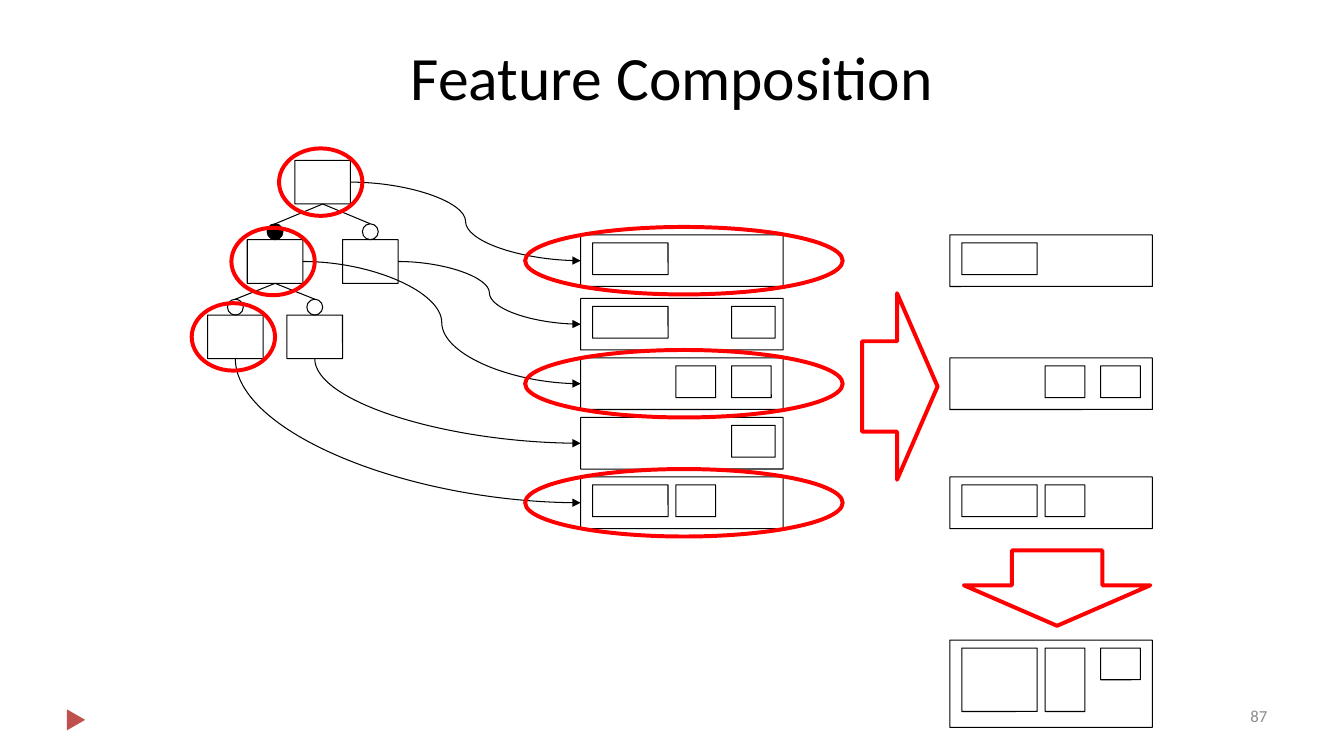
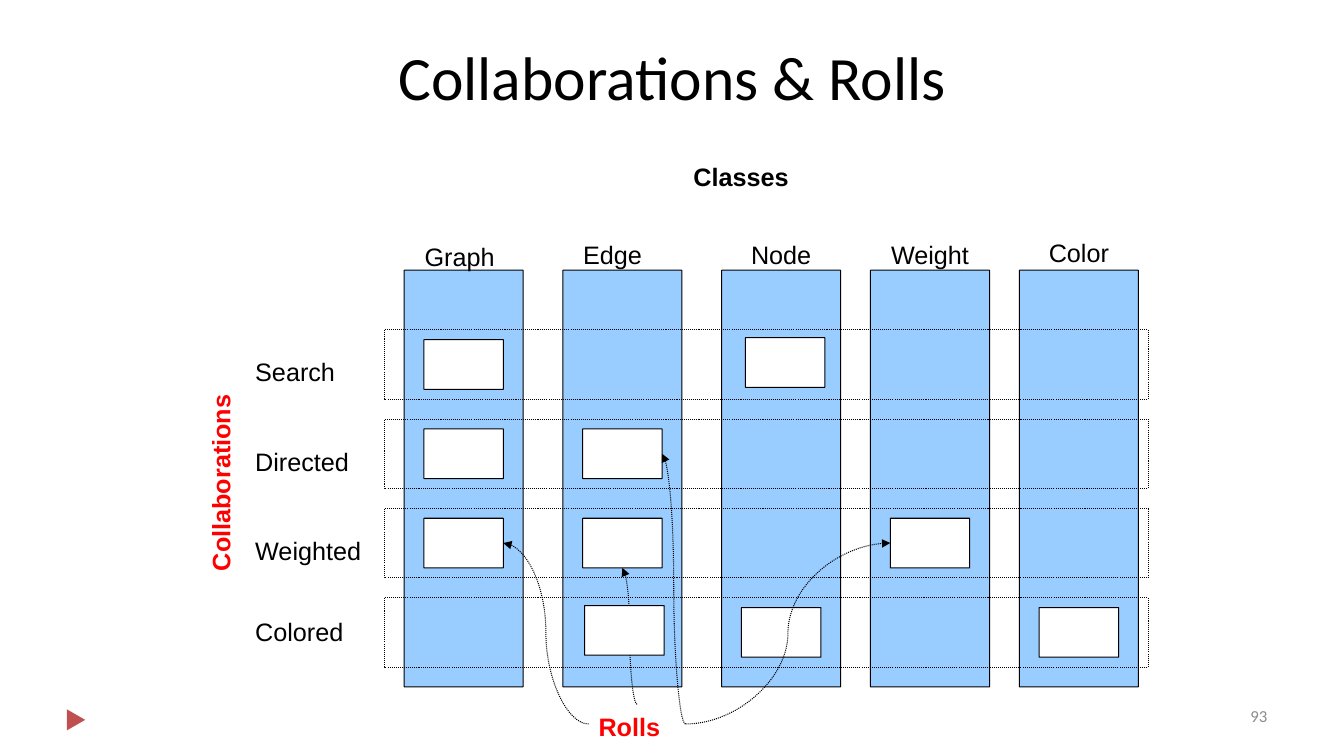
from lxml import etree
from pptx import Presentation
from pptx import util as u
from pptx.dml.color import RGBColor
from pptx.enum import dml, shapes, text
from pptx.oxml.ns import qn

HUES = {"ink": "000000", "paper": "FFFFFF", "red": "FF0000",
        "brick": "C0504D", "sky": "99CCFF", "gray": "8C8C8C"}
WIDE, HIGH = 33.87, 19.05
KIND = shapes.MSO_SHAPE
LEFT, MID, RIGHT = text.PP_ALIGN.LEFT, text.PP_ALIGN.CENTER, text.PP_ALIGN.RIGHT
DOTS = dml.MSO_LINE.ROUND_DOT
HEAD = {"name": "Calibri", "size": u.Pt(44)}
FOOT = {"name": "Calibri", "size": u.Pt(12)}
BODY = {"name": "Arial", "size": u.Pt(18)}
BOLD = {**BODY, "bold": True}


def hue(name):
    """Return the named colour."""
    return RGBColor.from_string(HUES[name])


def pen(line, tint="ink", wt=0.75, dash=None):
    """Style an outline or a connector line."""
    line.color.rgb = hue(tint)
    line.width = u.Pt(wt)
    if dash:
        line.dash_style = dash


def put(sl, kind, box, fill=None, adj=(), turn=0, edge=True, **ink):
    """Add a preset shape, its box given in centimetres."""
    shp = sl.shapes.add_shape(kind, *map(u.Cm, box))
    shp.shadow.inherit = False
    shp.rotation = turn
    for i, val in enumerate(adj):
        shp.adjustments[i] = val
    if fill:
        shp.fill.solid()
        shp.fill.fore_color.rgb = hue(fill)
    else:
        shp.fill.background()
    if edge:
        pen(shp.line, **ink)
    else:
        shp.line.fill.background()
    return shp


def card(sl, box, **look):
    """Add a box with barely rounded corners."""
    return put(sl, KIND.ROUNDED_RECTANGLE, box, adj=(0.004,), **look)


def ring(sl, box):
    """Add a red ellipse around a chosen part."""
    put(sl, KIND.OVAL, box, tint="red", wt=2.83)


def arrow(sl, box, turn=0):
    """Add a red block arrow."""
    put(sl, KIND.RIGHT_ARROW, box, adj=(0.485, 0.537), turn=turn, tint="red", wt=2.83)


def words(sl, box, say, font, tint="ink", side=LEFT, anchor=text.MSO_ANCHOR.TOP,
          turn=0, pads=(0.25, 0.18, 0.25, 0.13)):
    """Add a line of text in a box."""
    shp = sl.shapes.add_textbox(*map(u.Cm, box))
    shp.rotation = turn
    frame = shp.text_frame
    frame.word_wrap = True
    frame.vertical_anchor = anchor
    for edge, pad in zip(("left", "top", "right", "bottom"), pads):
        setattr(frame, "margin_" + edge, u.Cm(pad))
    para = frame.paragraphs[0]
    para.alignment = side
    run = para.add_run()
    run.text = say
    for key, val in font.items():
        setattr(run.font, key, val)
    run.font.color.rgb = hue(tint)


def wire(sl, kind, start, end, dash=None):
    """Add a connector without shadow."""
    con = sl.shapes.add_connector(kind, *map(u.Cm, (*start, *end)))
    pen(con.line, dash=dash)
    etree.SubElement(con._element.spPr, qn("a:effectLst"))
    return con


def curve(sl, start, end, dash=None, drop=False):
    """Add a curved arrow; with drop it leaves downwards."""
    con = wire(sl, shapes.MSO_CONNECTOR.CURVE, start, end, dash)
    etree.SubElement(con.line._get_or_add_ln(), qn("a:tailEnd"), type="triangle")
    if drop:
        (x, y), (far, low) = start, end
        w, h = low - y, far - x
        con.left, con.top = u.Cm((x + far - w) / 2), u.Cm((y + low - h) / 2)
        con.width, con.height = u.Cm(w), u.Cm(h)
        props = con._element.spPr
        form = props.find(qn("a:xfrm"))
        form.set("rot", "16200000")
        form.set("flipH", "1")
        props.find(qn("a:prstGeom")).set("prst", "curvedConnector2")


def side(box, name):
    """Return the middle of a side of a box."""
    x, y, w, h = box
    return {"top": (x + w / 2, y), "left": (x, y + h / 2),
            "low": (x + w / 2, y + h), "right": (x + w, y + h / 2)}[name]


def base(deck, title, num):
    """Add a slide with title, corner mark and number."""
    sl = deck.slides.add_slide(deck.slide_layouts[6])
    put(sl, KIND.ISOSCELES_TRIANGLE, (1.65, 17.91, 0.53, 0.46), fill="brick",
        turn=90, edge=False)
    pads = (0.25, 0.13, 0.25, 0.13)
    words(sl, (WIDE * 0.05, HIGH / 30, WIDE * 0.9, HIGH * 2 / 15), title, HEAD,
          side=MID, anchor=text.MSO_ANCHOR.MIDDLE, pads=pads)
    words(sl, (24.28, 17.65, 7.9, 1.02), num, FOOT, "gray", RIGHT, pads=pads)
    return sl


def tree(sl, x, y):
    """Draw the feature tree and return its boxes."""
    spots = [(2.2, 0), (1, 2), (3.4, 2), (0, 3.9), (2, 3.9)]
    nodes = [(x + dx, y + dy, 1.4, 1.1) for dx, dy in spots]
    parts = [card(sl, box) for box in nodes]
    for kid, top in ((1, 0), (2, 0), (3, 1), (4, 1)):
        cx, cy = side(nodes[kid], "top")
        dot = put(sl, KIND.OVAL, (cx - 0.2, cy - 0.4, 0.4, 0.4),
                  fill="ink" if kid == 1 else None)
        con = wire(sl, shapes.MSO_CONNECTOR.STRAIGHT, (cx, cy - 0.4),
                   side(nodes[top], "low"))
        con.begin_connect(dot, 0)
        con.end_connect(parts[top], 2)
    return nodes


def unit(sl, x, y, chips, h=1.3):
    """Draw one unit with its inner chips and return its box."""
    box = (x, y, 5.1, h)
    card(sl, box)
    for dx, w, tall in chips:
        card(sl, (x + dx, y + 0.2, w, tall))
    return box


def compose(deck):
    """Build the slide on composing features."""
    sl = base(deck, "Feature Composition", "87")
    nodes = tree(sl, 5.23, 4.04)
    big, mid, end, last = (0.3, 1.9, 0.8), (2.4, 1, 0.8), (3.8, 1.1, 0.8), (3.8, 1, 0.8)
    rows = [(0, [big]), (1.6, [big, end]), (3.1, [mid, last]),
            (4.6, [end]), (6.1, [big, mid])]
    top, out = 5.92, 23.93
    units = [unit(sl, 14.63, top + dy, chips) for dy, chips in rows]
    for node, row in ((0, 0), (1, 2), (2, 1)):
        curve(sl, side(nodes[node], "right"), side(units[row], "left"))
    for node, row in ((3, 4), (4, 3)):
        curve(sl, side(nodes[node], "low"), side(units[row], "left"), drop=True)
    for x, y, *_ in (nodes[0], nodes[1], nodes[3]):
        ring(sl, (x - 0.4, y - 0.3, 2.1, 1.7))
    for x, y, *_ in units[::2]:
        ring(sl, (x - 1.4, y - 0.2, 8, 1.7))
    for dy, chips in rows[::2]:
        unit(sl, out, top + dy, chips)
    unit(sl, out, 16.13, [(0.3, 1.9, 1.6), (2.4, 1, 1.6), last], 2.2)
    arrow(sl, (21.72, 7.39, 1.9, 4.7))
    arrow(sl, (25.68, 12.47, 1.9, 4.7), 90)


def matrix(sl, x, y):
    """Draw classes against collaborations and return a role finder."""
    cols = [("Graph", 0, -0.1, -0.92), ("Edge", 4, -0.25, -0.97),
            ("Node", 8, 0, -0.97), ("Weight", 11.75, 0, -0.97),
            ("Color", 15.5, 0, -1.02)]
    rows = [("Search", 0.5), ("Directed", 0.5), ("Weighted", 0.5), ("Colored", 0.28)]
    for _, dx, *_ in cols:
        card(sl, (x + dx, y, 3, 10.5), fill="sky")
    for name, dx, shift, dy in cols:
        words(sl, (x + dx + shift, y + dy, 3, 0.97), name, BODY, side=MID)
    for i, (name, dy) in enumerate(rows):
        band = y + 1.5 + 2.25 * i
        words(sl, (x - 4, band + dy, 3.4, 0.97), name, BODY)
        put(sl, KIND.RECTANGLE, (x - 0.5, band, 19.25, 1.75), dash=DOTS)

    def role(col, row, dx=0.5, dy=0.25):
        """Return the box of a role."""
        return x + cols[col][1] + dx, y + 1.5 + 2.25 * row + dy, 2, 1.25

    return role


def rolls(deck):
    """Build the slide on collaborations and rolls."""
    sl = base(deck, "Collaborations & Rolls", "93")
    role = matrix(sl, 10.18, 6.81)
    words(sl, (17.22, 3.89, 3.2, 0.99), "Classes", BOLD)
    words(sl, (2.82, 11.48, 5.33, 0.99), "Collaborations", BOLD, "red", turn=270)
    for spot in ((0, 0), (0, 1), (1, 1), (0, 2), (1, 2), (3, 2), (2, 3), (4, 3),
                 (2, 0, 0.6, 0.2)):
        card(sl, role(*spot), fill="paper")
    hub = (14.83, 17.75, 2.44, 0.99)
    words(sl, hub, "Rolls", BOLD, "red")
    for exit, col, row, goal in (("top", 1, 2, "low"), ("left", 0, 2, "right"),
                                 ("right", 3, 2, "left"), ("right", 1, 1, "right")):
        curve(sl, side(hub, exit), side(role(col, row), goal), DOTS)
    card(sl, role(1, 3, 0.55, 0.2), fill="paper")


def main():
    """Build and save the deck."""
    deck = Presentation()
    deck.slide_width, deck.slide_height = u.Inches(13.33), u.Inches(7.5)
    compose(deck)
    rolls(deck)
    deck.save("out.pptx")


if __name__ == "__main__":
    main()
